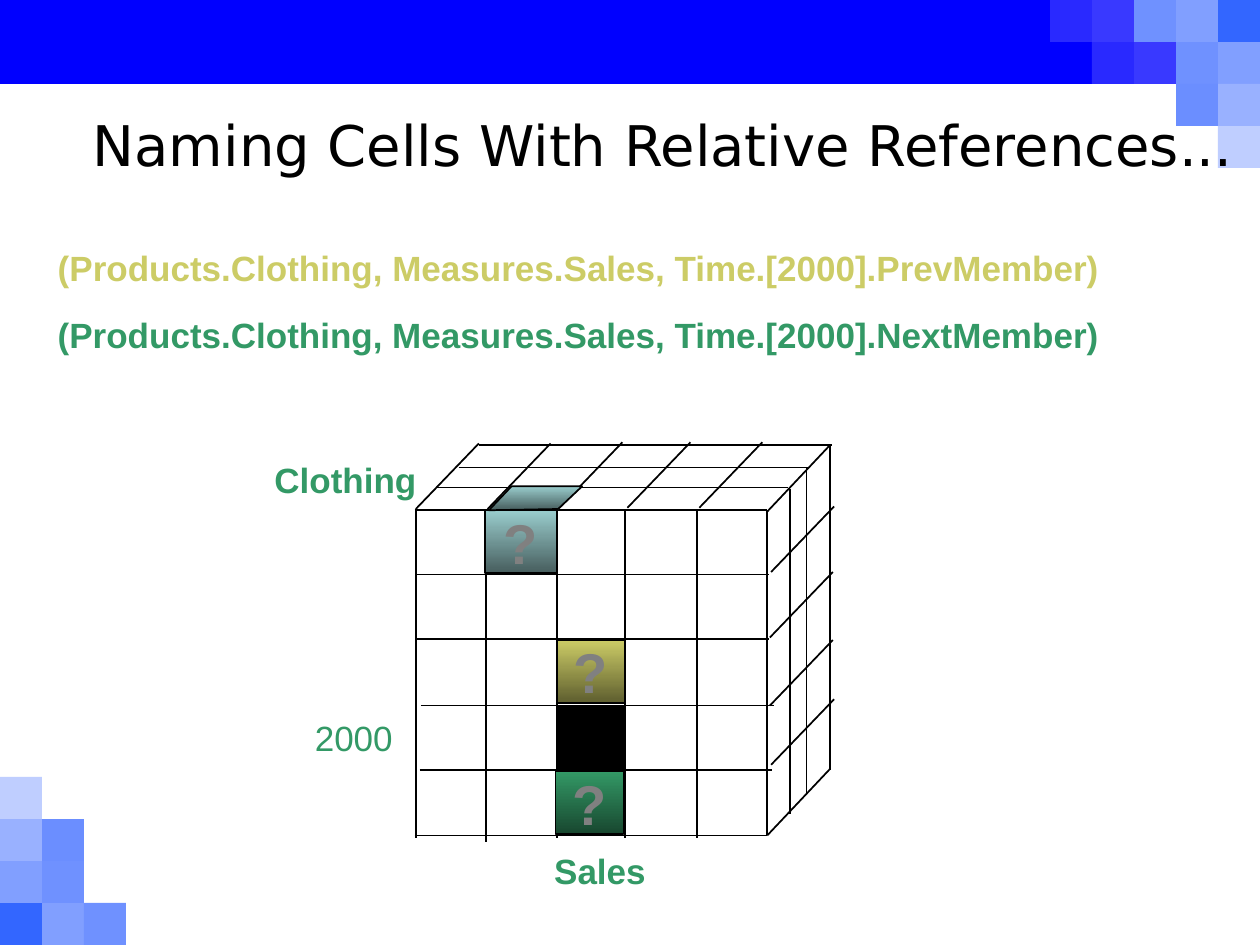
from dataclasses import dataclass

from lxml.etree import SubElement
from pptx import Presentation
from pptx.dml.color import RGBColor
from pptx.enum.shapes import MSO_CONNECTOR, MSO_SHAPE
from pptx.enum.text import MSO_ANCHOR, MSO_AUTO_SIZE, PP_ALIGN
from pptx.oxml.ns import qn
from pptx.util import Pt

EMU_PER_PX = 3048
SLIDE_W, SLIDE_H, TILE = 3000, 2250, 100

COLORS = {
    "bar": "0000FF", "corner": "3366FF", "violet": "3939FF", "indigo": "2929FF",
    "sky": "819FFF", "azure": "6F91FF", "mist": "99B1FF", "blue": "6B8EFF",
    "pale": "BFCEFF", "black": "000000", "gray": "808080",
    "green": "339966", "green_dark": "18472F",
    "olive": "CCCC66", "olive_dark": "5E5E2F",
    "teal": "99CCCC", "teal_dark": "475E5E",
}


@dataclass(frozen=True)
class Tile:
    from_right: int
    row: int
    color: str


@dataclass(frozen=True)
class GridLines:
    dx: int
    dy: int
    starts: tuple[tuple[int, int], ...]


@dataclass(frozen=True)
class Cell:
    left: int
    top: int
    width: int
    color: str
    mark: str = "?"


@dataclass(frozen=True)
class Label:
    text: str
    box: tuple[int, int, int, int]
    color: str = "green"
    bold: bool = True
    wrap: bool = False


MIRRORED_TILES = (
    Tile(0, 0, "corner"), Tile(1, 0, "sky"), Tile(2, 0, "azure"),
    Tile(0, 1, "sky"), Tile(1, 1, "azure"),
    Tile(0, 2, "mist"), Tile(1, 2, "blue"), Tile(0, 3, "pale"),
)
BAR_TILES = (
    Tile(3, 0, "violet"), Tile(2, 1, "violet"),
    Tile(4, 0, "indigo"), Tile(3, 1, "indigo"),
)
CUBE_LINES = (
    GridLines(834, 0, ((1092, 1113), (1041, 1161))),
    GridLines(840, 0, ((1140, 1059), (987, 1215), (990, 1368), (990, 1521),
                       (1002, 1680), (999, 1833), (987, 1989))),
    GridLines(0, 780, ((990, 1215), (1158, 1224), (1326, 1215),
                       (1488, 1215), (1659, 1215))),
    GridLines(0, 774, ((1827, 1215), (1881, 1164), (1920, 1113), (1977, 1059))),
    GridLines(150, -156, ((990, 1212), (1161, 1212), (1332, 1209), (1494, 1209),
                          (1665, 1209), (1836, 1362), (1833, 1518),
                          (1833, 1680), (1836, 1821))),
    GridLines(150, -159, ((1827, 1218), (1827, 1989))),
)
CELL_H = 150
CELLS = (
    Cell(1326, 1683, 162, "black", ""),
    Cell(1326, 1524, 162, "olive"),
    Cell(1323, 1836, 162, "green"),
    Cell(1155, 1215, 171, "teal"),
)
CLOTHING_TOP = ((1164, 1215), (1218, 1158), (1386, 1158), (1329, 1212))
LABELS = (
    Label("2000", (720, 1692, 246, 132), bold=False),
    Label("Clothing", (624, 1077, 399, 132)),
    Label("Sales", (1290, 2007, 279, 132)),
    Label("(Products.Clothing, Measures.Sales, Time.[2000].PrevMember)",
          (108, 573, 2703, 132), "olive", wrap=True),
    Label("(Products.Clothing, Measures.Sales, Time.[2000].NextMember)",
          (108, 732, 2769, 132), wrap=True),
)


def px(*lengths: int) -> list[int]:
    return [length * EMU_PER_PX for length in lengths]


def rgb(name: str) -> RGBColor:
    return RGBColor.from_string(COLORS[name])


def write(holder, text: str, *, size: int = 20, color: str = "black",
          font: str = "Arial", bold: bool = False, wrap: bool = False,
          align=PP_ALIGN.LEFT, anchor=MSO_ANCHOR.TOP,
          fit=MSO_AUTO_SIZE.SHAPE_TO_FIT_TEXT) -> None:
    frame = holder.text_frame
    frame.word_wrap = wrap
    frame.auto_size = fit
    frame.vertical_anchor = anchor
    paragraph = frame.paragraphs[0]
    paragraph.alignment = align
    run = paragraph.add_run()
    run.text = text
    run.font.size = Pt(size)
    run.font.name = font
    run.font.bold = bold
    run.font.color.rgb = rgb(color)


def draw_block(slide, box: tuple[int, int, int, int], color: str) -> None:
    block = slide.shapes.add_shape(MSO_SHAPE.RECTANGLE, *px(*box))
    block.shadow.inherit = False
    block.fill.solid()
    block.fill.fore_color.rgb = rgb(color)
    block.line.fill.background()


def draw_decoration(slide) -> None:
    draw_block(slide, (0, 0, SLIDE_W, 2 * TILE), "bar")
    for tile in BAR_TILES + MIRRORED_TILES:
        left = SLIDE_W - (tile.from_right + 1) * TILE
        draw_block(slide, (left, tile.row * TILE, TILE, TILE), tile.color)
    for tile in MIRRORED_TILES:
        top = SLIDE_H - (tile.row + 1) * TILE
        draw_block(slide, (tile.from_right * TILE, top, TILE, TILE), tile.color)


def draw_grid_lines(slide, lines: GridLines) -> None:
    for x, y in lines.starts:
        edge = slide.shapes.add_connector(
            MSO_CONNECTOR.STRAIGHT, *px(x, y, x + lines.dx, y + lines.dy))
        edge.line.color.rgb = rgb("black")
        edge.line.width = Pt(1)
        SubElement(edge._element.spPr, qn("a:effectLst"))


def paint_face(face, color: str) -> None:
    face.shadow.inherit = False
    face.line.color.rgb = rgb("black")
    face.line.width = Pt(1)
    if color == "black":
        face.fill.solid()
        face.fill.fore_color.rgb = rgb(color)
        return
    face.fill.gradient()
    face.fill.gradient_angle = 270
    for stop, shade in zip(face.fill.gradient_stops, (color, f"{color}_dark")):
        stop.color.rgb = rgb(shade)


def draw_cell(slide, cell: Cell) -> None:
    face = slide.shapes.add_shape(
        MSO_SHAPE.RECTANGLE, *px(cell.left, cell.top, cell.width, CELL_H))
    paint_face(face, cell.color)
    if cell.mark:
        write(face, cell.mark, size=32, color="gray", bold=True,
              align=PP_ALIGN.CENTER, anchor=MSO_ANCHOR.MIDDLE,
              fit=MSO_AUTO_SIZE.NONE)


def draw_clothing_top(slide) -> None:
    outline = slide.shapes.build_freeform(*CLOTHING_TOP[0], scale=EMU_PER_PX)
    outline.add_line_segments(CLOTHING_TOP[1:], close=True)
    paint_face(outline.convert_to_shape(), "teal")


def place_title(slide) -> None:
    title = slide.shapes.title
    title.left, title.top, title.width, title.height = px(51, 249, 3057, 189)
    write(title, "Naming Cells With Relative References...", size=32,
          font="DejaVu Sans", wrap=True, align=PP_ALIGN.CENTER)
    slide.shapes._spTree.append(title._element)


def main() -> None:
    deck = Presentation()
    deck.slide_width, deck.slide_height = px(SLIDE_W, SLIDE_H)
    slide = deck.slides.add_slide(deck.slide_layouts[5])
    draw_decoration(slide)
    for lines in CUBE_LINES:
        draw_grid_lines(slide, lines)
    for cell in CELLS:
        draw_cell(slide, cell)
    draw_clothing_top(slide)
    place_title(slide)
    for label in LABELS:
        caption = slide.shapes.add_textbox(*px(*label.box))
        write(caption, label.text, color=label.color, bold=label.bold,
              wrap=label.wrap)
    deck.save("out.pptx")


if __name__ == "__main__":
    main()
